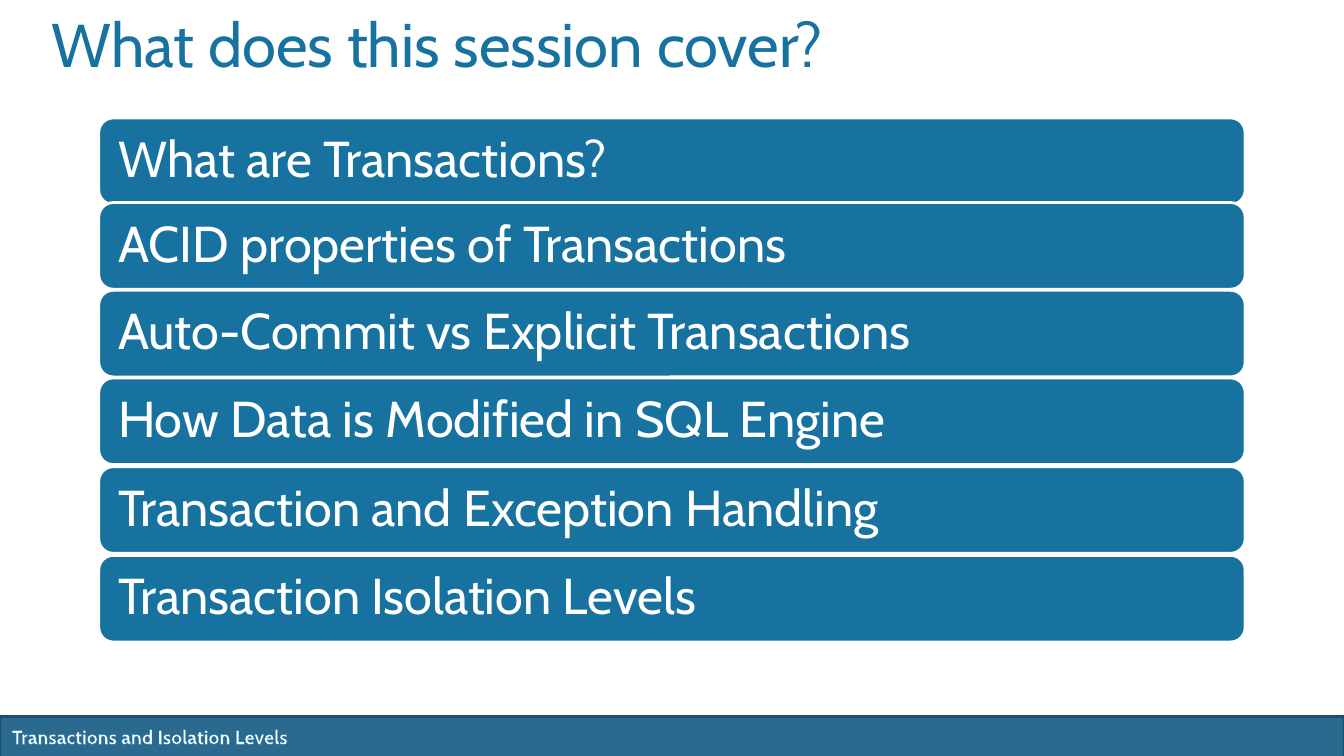
from lxml.etree import SubElement
from pptx import Presentation
from pptx.dml.color import RGBColor
from pptx.enum.shapes import MSO_SHAPE
from pptx.enum.text import MSO_ANCHOR, MSO_AUTO_SIZE, PP_ALIGN
from pptx.oxml.ns import qn
from pptx.util import Inches, Pt


def color(hex_value):
    return RGBColor.from_string(hex_value)


def write(shape, text, size, fill="FFFFFF", bold=False, anchor=MSO_ANCHOR.TOP,
          inset=(0.1, 0.05), spacing=None, outline=None):
    frame = shape.text_frame
    frame.word_wrap = True
    frame.auto_size = MSO_AUTO_SIZE.NONE
    frame.vertical_anchor = anchor
    frame.margin_left = frame.margin_right = Inches(inset[0])
    frame.margin_top = frame.margin_bottom = Inches(inset[1])
    paragraph = frame.paragraphs[0]
    paragraph.alignment = PP_ALIGN.LEFT
    paragraph.line_spacing = spacing
    run = paragraph.add_run()
    run.text = text
    run.font.name = "Cabin"
    run.font.size = Pt(size)
    run.font.bold = bold
    if outline:
        line = SubElement(run.font._element, qn("a:ln"), w=str(Pt(0.8)))
        line_fill = SubElement(line, qn("a:solidFill"))
        SubElement(line_fill, qn("a:srgbClr"), val=outline)
        run.font._element.insert(0, line)
    run.font.fill.solid()
    run.font.fill.fore_color.rgb = color(fill)


BLUE = "1872A0"
TOPICS = [
    ("What are Transactions?", 1.17),
    ("ACID properties of Transactions", 2.01),
    ("Auto-Commit vs Explicit Transactions", 2.88),
    ("How Data is Modified in SQL Engine", 3.75),
    ("Transaction and Exception Handling", 4.63),
    ("Transaction Isolation Levels", 5.51),
]

deck = Presentation()
deck.slide_width = Inches(13.33)
deck.slide_height = Inches(7.5)
slide = deck.slides.add_slide(deck.slide_layouts[5])

footer_band = slide.shapes.add_shape(
    MSO_SHAPE.RECTANGLE, Inches(0), Inches(7.11), Inches(13.33), Inches(0.4))
footer_band.shadow.inherit = False
footer_band.fill.solid()
footer_band.fill.fore_color.rgb = color("296A8E")
footer_band.line.color.rgb = color("1E4E69")
footer_band.line.width = Pt(2)

session_name = slide.shapes.add_textbox(
    Inches(0.02), Inches(7.14), Inches(6.06), Inches(0.34))
write(session_name, "Transactions and Isolation Levels", 14, bold=True, outline=BLUE)

heading = slide.shapes.title
heading.left, heading.top = Inches(0.41), Inches(0.26)
heading.width, heading.height = Inches(12), Inches(1.25)
write(heading, "What does this session cover?", 44, fill=BLUE, spacing=Pt(35))

for topic, top in TOPICS:
    topic_bar = slide.shapes.add_shape(
        MSO_SHAPE.ROUNDED_RECTANGLE, Inches(0.98), Inches(top), Inches(11.37), Inches(0.86))
    topic_bar.shadow.inherit = False
    topic_bar.fill.solid()
    topic_bar.fill.fore_color.rgb = color(BLUE)
    topic_bar.line.color.rgb = color("FFFFFF")
    topic_bar.line.width = Pt(2)
    write(topic_bar, topic, 36, anchor=MSO_ANCHOR.MIDDLE, inset=(0.15, 0.15), spacing=0.9)

deck.save("out.pptx")
